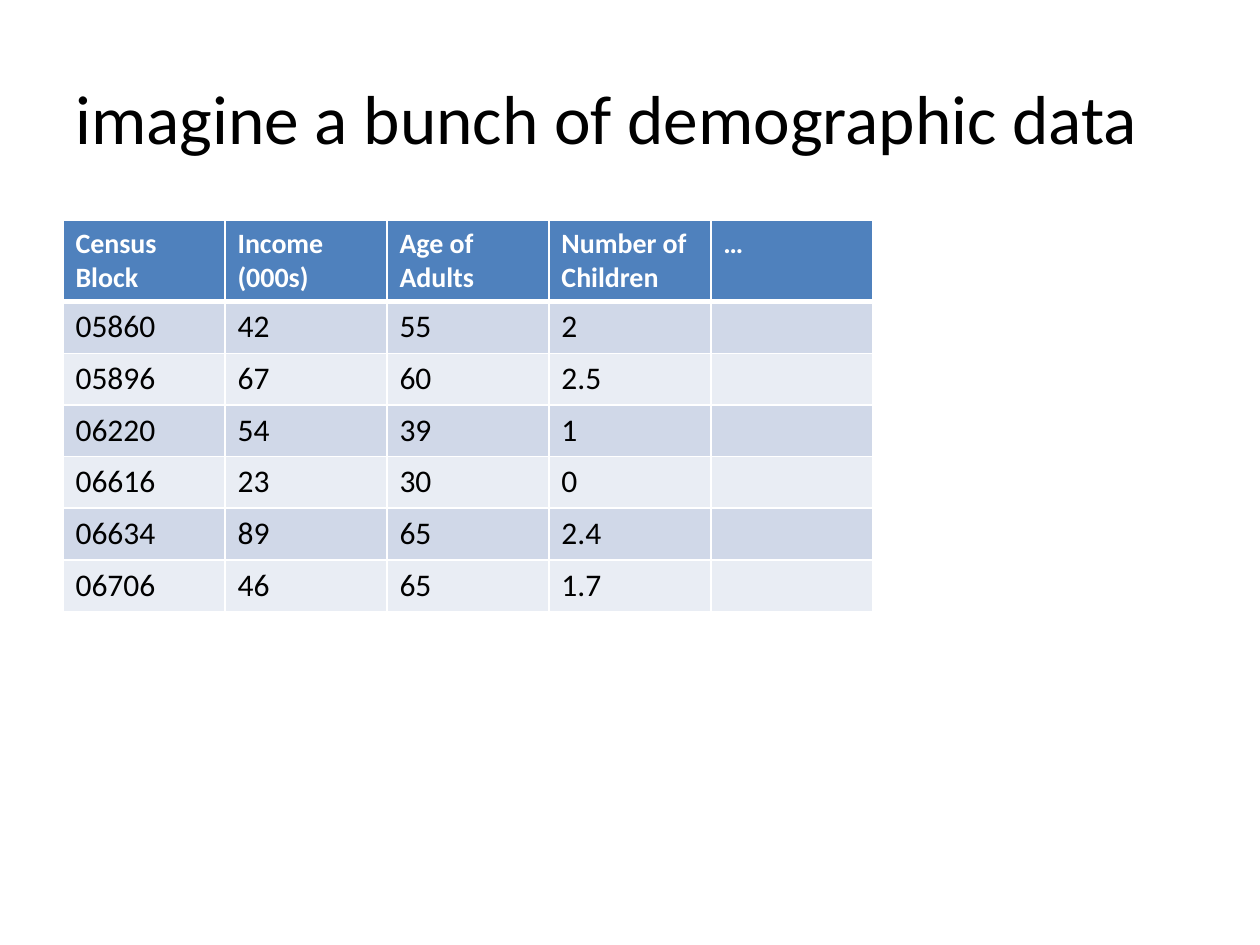
from lxml import etree
from pptx import Presentation
from pptx.dml.color import RGBColor
from pptx.enum.text import MSO_ANCHOR, MSO_AUTO_SIZE, PP_ALIGN
from pptx.oxml.ns import qn
from pptx.util import Inches, Pt

LEFT, MIDDLE, FIXED = PP_ALIGN.LEFT, MSO_ANCHOR.MIDDLE, MSO_AUTO_SIZE.NONE
FONT = "Calibri"
HEX = {"head": "4F81BD", "odd": "D0D8E8", "even": "E9EDF4",
       "white": "FFFFFF", "black": "000000"}

ROWS = [
    ("Census Block", "Income (000s)", "Age of Adults", "Number of Children", "…"),
    ("05860", "42", "55", "2", ""),
    ("05896", "67", "60", "2.5", ""),
    ("06220", "54", "39", "1", ""),
    ("06616", "23", "30", "0", ""),
    ("06634", "89", "65", "2.4", ""),
    ("06706", "46", "65", "1.7", ""),
]


def style(par, size, color, bold=False):
    font = par.font
    font.name, font.size, font.bold = FONT, Pt(size), bold
    font.color.rgb = RGBColor.from_string(HEX[color])


def border(cell, side, width):
    """Add a white line; sides must come in the order L, R, T, B."""
    line = etree.SubElement(cell._tc.get_or_add_tcPr(), qn("a:ln" + side),
                            w=str(Pt(width)))
    fill = etree.SubElement(line, qn("a:solidFill"))
    etree.SubElement(fill, qn("a:srgbClr"), val=HEX["white"])


deck = Presentation()
deck.slide_width, deck.slide_height = Inches(10), Inches(7.5)
slide = deck.slides.add_slide(deck.slide_layouts[5])

title = slide.shapes.title
title.left, title.top = Inches(0.5), Inches(0.3)
title.width, title.height = Inches(9), Inches(1.25)
frame = title.text_frame
frame.text = "imagine a bunch of demographic data"
frame.auto_size, frame.vertical_anchor = FIXED, MIDDLE
frame.paragraphs[0].alignment = LEFT
style(frame.paragraphs[0], 39.6, "black")

col, row = Inches(9) // 7, Inches(0.41)
count = len(ROWS[0])
table = slide.shapes.add_table(len(ROWS), count, Inches(0.5), Inches(1.75),
                               col * count, row * len(ROWS)).table
for part in table.columns:
    part.width = col
for part in table.rows:
    part.height = row

for r, texts in enumerate(ROWS):
    head = r == 0
    shade = "head" if head else "odd" if r % 2 else "even"
    for c, text in enumerate(texts):
        cell = table.cell(r, c)
        for side in "LRTB":
            thick = (head and side == "B") or (r == 1 and side == "T")
            border(cell, side, 3 if thick else 1)
        cell.fill.solid()
        cell.fill.fore_color.rgb = RGBColor.from_string(HEX[shade])
        cell.text = text
        style(cell.text_frame.paragraphs[0], 16 if head else 18,
              "white" if head else "black", head)

deck.save("out.pptx")
